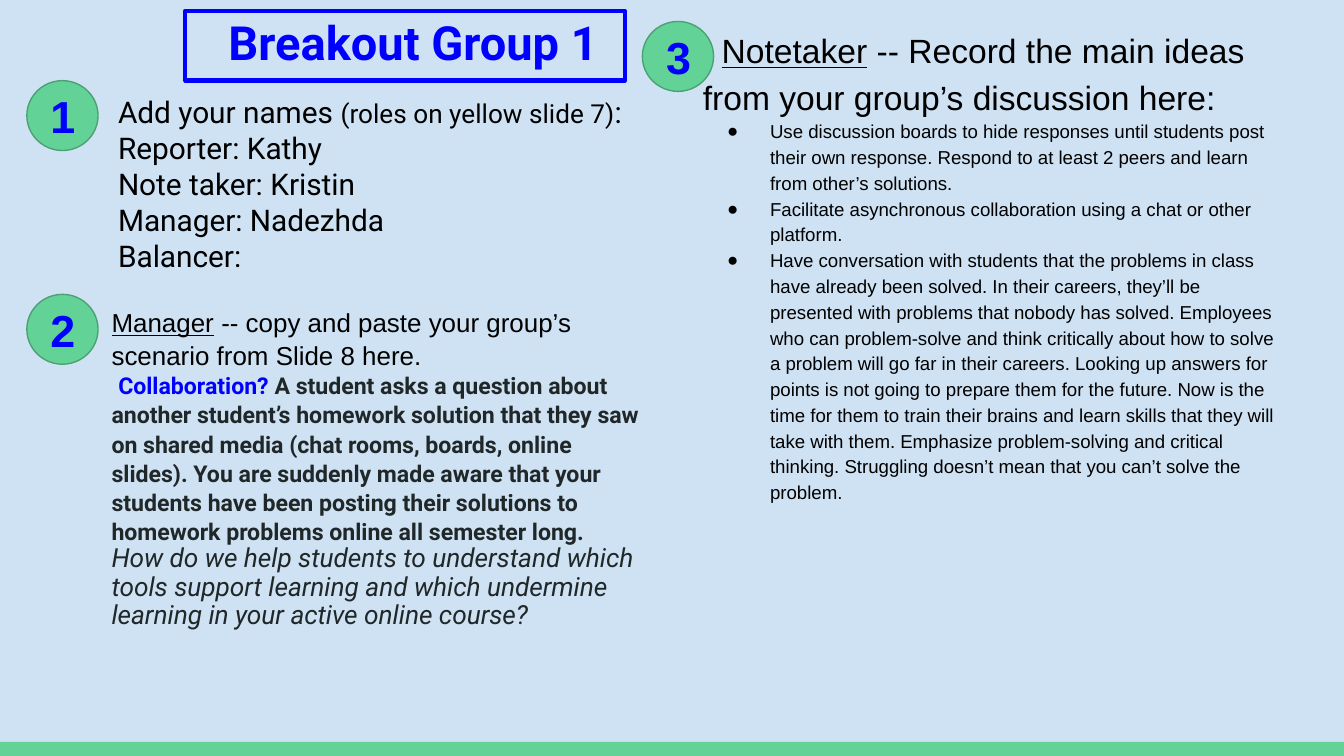
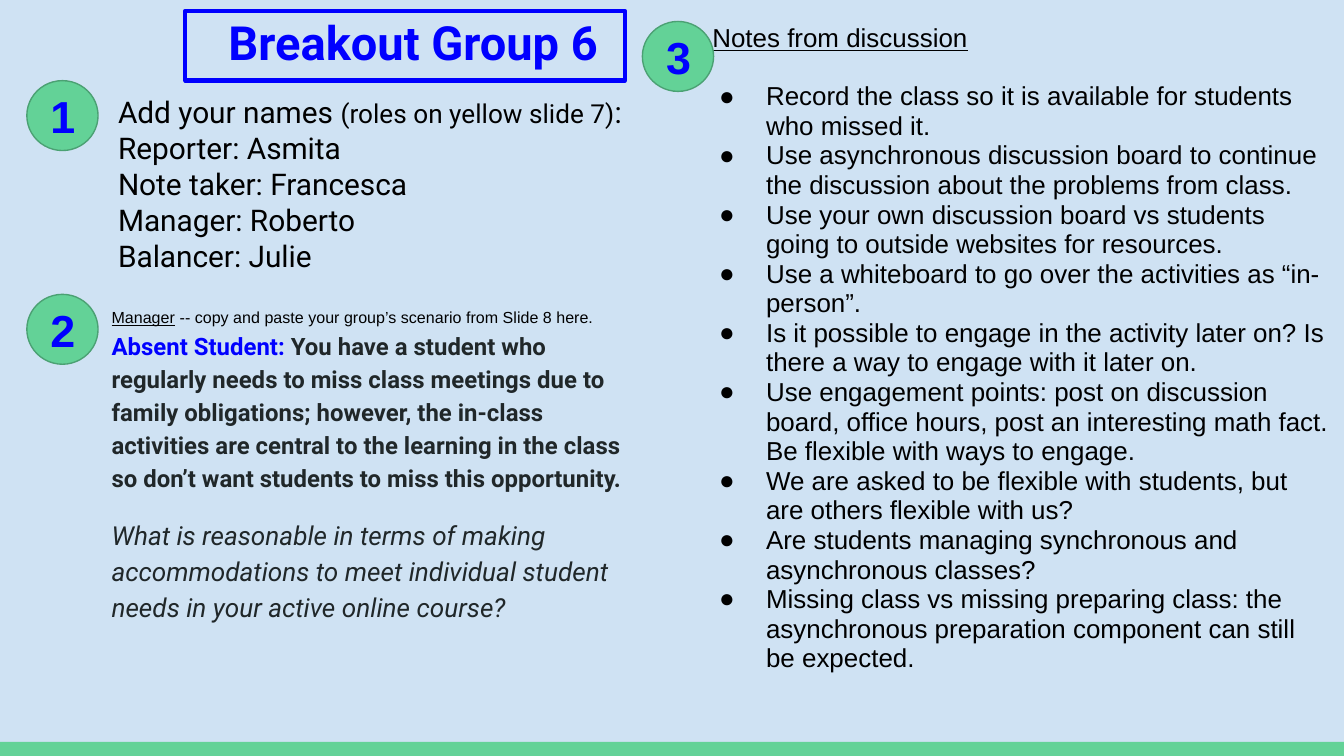
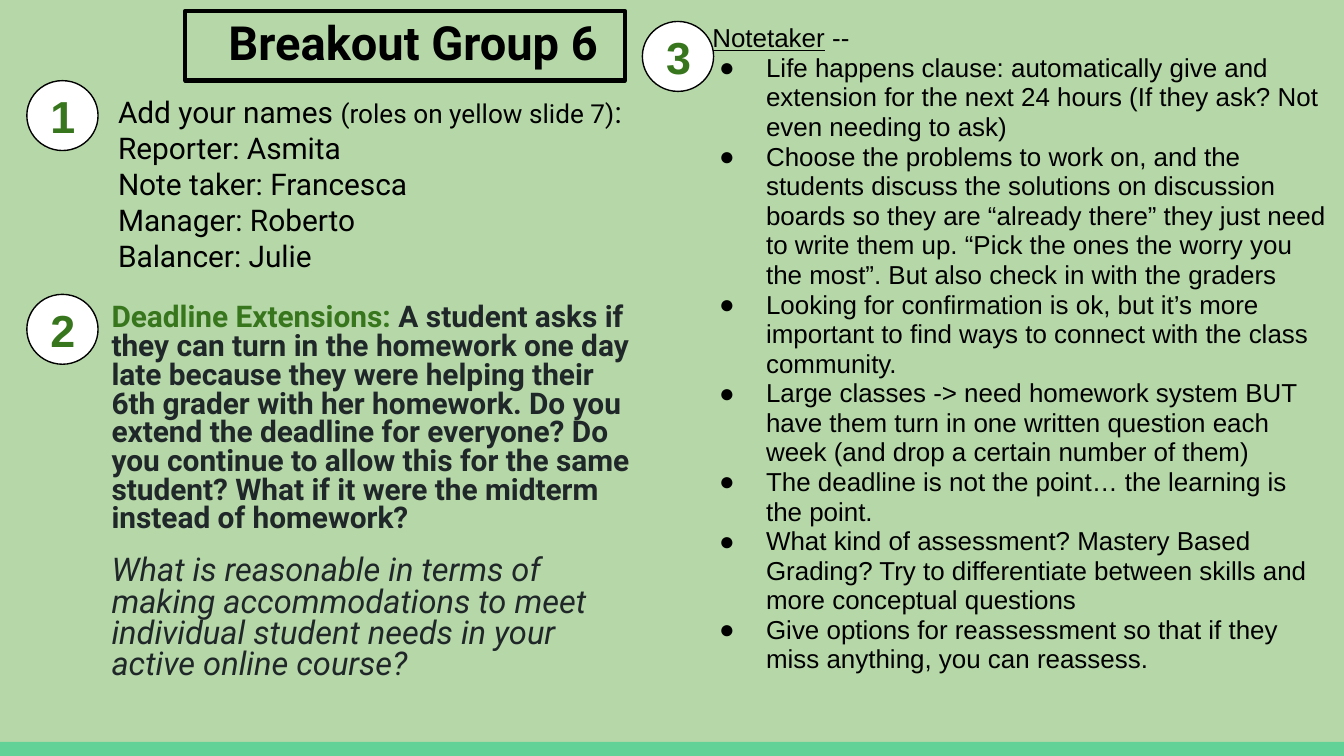
from dataclasses import dataclass

from lxml.etree import SubElement
from pptx import Presentation
from pptx.dml.color import RGBColor
from pptx.enum.shapes import MSO_SHAPE
from pptx.enum.text import MSO_ANCHOR, MSO_AUTO_SIZE, PP_ALIGN
from pptx.oxml.ns import qn
from pptx.util import Inches, Pt

BLACK = RGBColor(0x00, 0x00, 0x00)
WHITE = RGBColor(0xFF, 0xFF, 0xFF)
BLUE = RGBColor(0x00, 0x00, 0xFF)
PALE_BLUE = RGBColor(0xCF, 0xE2, 0xF3)
MINT = RGBColor(0x63, 0xD2, 0x97)
MINT_EDGE = RGBColor(0x4B, 0xA1, 0x73)
PALE_GREEN = RGBColor(0xB6, 0xD7, 0xA8)
DARK_GREEN = RGBColor(0x38, 0x76, 0x1D)
INK = RGBColor(0x20, 0x27, 0x29)

CELL = Inches(0.1)
COLUMNS, ROWS = 100, 56.25
BAND = (0, 55.2, COLUMNS, 1.05)
TITLE = (16, 0, 32.7, 5.2)
TITLE_FRAME = (13.8, 0.8, 32.7, 5.2)
NAMES = (7.8, 6, 39.5, 15.5)
SCENARIO = (7.3, 21.7, 41.6, 32.7)
BADGES = {"1": (2, 6), "2": (2, 21.9), "3": (47.8, 1.6)}
BADGE_SIZE = (5.3, 5.2)

ROLES = ("Reporter", "Note taker", "Manager", "Balancer")
COPY_PROMPT = " -- copy and paste your group’s scenario from Slide 8 here."
ACCOMMODATION_QUESTION = (
    "What is reasonable in terms of making accommodations to meet "
    "individual student needs in your active online course?"
)


@dataclass
class Palette:
    background: RGBColor
    title: RGBColor
    accent: RGBColor
    badge_fill: RGBColor
    badge_line: RGBColor


BLUE_PALETTE = Palette(PALE_BLUE, BLUE, BLUE, MINT, MINT_EDGE)
GREEN_PALETTE = Palette(PALE_GREEN, BLACK, DARK_GREEN, WHITE, BLACK)


def write_text(paragraph, text, font="Arial", size=14, color=BLACK,
               bold=False, italic=False, underline=False):
    run = paragraph.add_run()
    run.text = text
    run.font.name = font
    run.font.size = Pt(size)
    run.font.color.rgb = color
    run.font.bold = bold
    run.font.italic = italic
    run.font.underline = underline


class Deck:
    def __init__(self):
        self.presentation = Presentation()
        self.presentation.slide_width = CELL * COLUMNS
        self.presentation.slide_height = int(CELL * ROWS)
        self.layout = self.presentation.slide_layouts[3]
        self.slide = None
        self.palette = None

    def start_slide(self, palette):
        first = self.slide is None
        self.slide = self.presentation.slides.add_slide(self.layout)
        self.palette = palette
        self.slide.background.fill.solid()
        self.slide.background.fill.fore_color.rgb = palette.background
        if first:
            band = self.shape(MSO_SHAPE.RECTANGLE, BAND, fill=MINT)
            self.layout.shapes.element.append(band.element)

    def place(self, shape, area):
        shape.left, shape.top, shape.width, shape.height = (
            int(CELL * cells) for cells in area)

    def text_frame(self, shape, anchor=MSO_ANCHOR.TOP, fit=MSO_AUTO_SIZE.NONE):
        frame = shape.text_frame
        frame.word_wrap = True
        frame.auto_size = fit
        frame.vertical_anchor = anchor
        frame.margin_left = frame.margin_right = CELL
        frame.margin_top = frame.margin_bottom = CELL
        return frame

    def paragraph(self, frame, runs, spacing=1.0, before=0, margin=0,
                  indent=0, bullet=None, align=PP_ALIGN.LEFT):
        paragraph = frame.paragraphs[0]
        if paragraph.runs:
            paragraph = frame.add_paragraph()
        properties = paragraph._p.get_or_add_pPr()
        properties.set("marL", str(Inches(margin)))
        properties.set("indent", str(Inches(indent)))
        if bullet:
            color = SubElement(properties, qn("a:buClr"))
            SubElement(color, qn("a:srgbClr"), val=str(BLACK))
            SubElement(properties, qn("a:buFont"), typeface="Arial")
            SubElement(properties, qn("a:buChar"), char=bullet)
        else:
            SubElement(properties, qn("a:buNone"))
        paragraph.alignment = align
        paragraph.line_spacing = spacing
        paragraph.space_before = Pt(before)
        paragraph.space_after = Pt(0)
        for text, style in runs:
            write_text(paragraph, text, **style)

    def shape(self, kind, area, fill=None, line=None, weight=0.75):
        shape = self.slide.shapes.add_shape(kind, 0, 0, 0, 0)
        self.place(shape, area)
        shape.shadow.inherit = False
        if fill is None:
            shape.fill.background()
        else:
            shape.fill.solid()
            shape.fill.fore_color.rgb = fill
        if line is None:
            shape.line.fill.background()
        else:
            shape.line.color.rgb = line
            shape.line.width = Pt(weight)
        return shape

    def title(self, text):
        color = self.palette.title
        self.shape(MSO_SHAPE.RECTANGLE, TITLE_FRAME, line=color, weight=2.25)
        title = self.slide.shapes.title
        self.place(title, TITLE)
        style = dict(font="Roboto", size=25.2, color=color, bold=True)
        self.paragraph(self.text_frame(title), [(text, style)])

    def body(self, index, area):
        placeholder = self.slide.placeholders[index]
        self.place(placeholder, area)
        return self.text_frame(placeholder)

    def names(self, people):
        box = self.slide.shapes.add_textbox(0, 0, 0, 0)
        self.place(box, NAMES)
        frame = self.text_frame(box, fit=MSO_AUTO_SIZE.SHAPE_TO_FIT_TEXT)
        large = dict(font="Roboto", size=16)
        small = dict(font="Roboto", size=14)
        self.paragraph(frame, [("Add your names ", large),
                               ("(roles on yellow slide 7)", small),
                               (":", large)])
        for role, person in zip(ROLES, people):
            self.paragraph(frame, [(f"{role}: {person}".rstrip(), large)])

    def badges(self):
        style = dict(size=24, color=self.palette.accent, bold=True)
        for number, corner in BADGES.items():
            badge = self.shape(MSO_SHAPE.OVAL, corner + BADGE_SIZE,
                               self.palette.badge_fill, self.palette.badge_line)
            frame = self.text_frame(badge, MSO_ANCHOR.MIDDLE)
            self.paragraph(frame, [(number, style)], align=PP_ALIGN.CENTER)

    def scenario(self, topic, story, question, size, question_size, spacing,
                 question_spacing, before=0, indent=0, prompt_size=None):
        frame = self.body(1, SCENARIO)
        if prompt_size:
            self.paragraph(frame, [
                ("Manager", dict(size=prompt_size, underline=True)),
                (COPY_PROMPT, dict(size=prompt_size))], spacing)
        strong = dict(font="Roboto", size=size, bold=True)
        self.paragraph(frame, [
            (topic + " ", dict(strong, color=self.palette.accent)),
            (story, dict(strong, color=INK))], spacing, indent=indent)
        asking = dict(font="Roboto", size=question_size, color=INK, italic=True)
        self.paragraph(frame, [(question, asking)], question_spacing, before)

    def notes(self, area, heading, rest, points, size=13.9, point_size=13.9,
              spacing=0.95, indent=0.1, hanging=0.35, gap=0):
        frame = self.body(2, area)
        runs = [(heading, dict(size=size, underline=True))]
        if rest:
            runs.append((rest, dict(size=size)))
        self.paragraph(frame, runs, spacing, indent=indent)
        for position, point in enumerate(points):
            self.paragraph(frame, [(point, dict(size=point_size))], spacing,
                           before=0 if position else gap, margin=0.5,
                           indent=-hanging, bullet="●")


def group_slide(deck, palette, title, people, scenario, notes):
    deck.start_slide(palette)
    deck.title(title)
    deck.scenario(**scenario)
    deck.notes(**notes)
    deck.names(people)
    deck.badges()


def main():
    deck = Deck()
    group_slide(
        deck, BLUE_PALETTE, "Breakout Group 1",
        ("Kathy", "Kristin", "Nadezhda", ""),
        scenario=dict(
            topic="Collaboration?",
            story="A student asks a question about another student’s homework "
                  "solution that they saw on shared media (chat rooms, boards, "
                  "online slides). You are suddenly made aware that your "
                  "students have been posting their solutions to homework "
                  "problems online all semester long.",
            question="How do we help students to understand which tools support "
                     "learning and which undermine learning in your active "
                     "online course?",
            size=12.4, question_size=14.1, spacing=1.05, question_spacing=0.9,
            indent=0.05, prompt_size=13.9),
        notes=dict(
            area=(51.3, 0.8, 44.7, 48.4), heading="Notetaker",
            rest=" -- Record the main ideas from your group’s discussion here:",
            points=(
                "Use discussion boards to hide responses until students post "
                "their own response. Respond to at least 2 peers and learn from "
                "other’s solutions.",
                "Facilitate asynchronous collaboration using a chat or other "
                "platform.",
                "Have conversation with students that the problems in class "
                "have already been solved. In their careers, they’ll be "
                "presented with problems that nobody has solved. Employees who "
                "can problem-solve and think critically about how to solve a "
                "problem will go far in their careers. Looking up answers for "
                "points is not going to prepare them for the future. Now is the "
                "time for them to train their brains and learn skills that they "
                "will take with them. Emphasize problem-solving and critical "
                "thinking. Struggling doesn’t mean that you can’t solve the "
                "problem."),
            size=18, point_size=10, spacing=1.15, indent=0.14, hanging=0.32))

    second_group = ("Asmita", "Francesca", "Roberto", "Julie")
    group_slide(
        deck, BLUE_PALETTE, "Breakout Group 6", second_group,
        scenario=dict(
            topic="Absent Student:",
            story="You have a student who regularly needs to miss class "
                  "meetings due to family obligations; however, the in-class "
                  "activities are central to the learning in the class so don’t "
                  "want students to miss this opportunity.",
            question=ACCOMMODATION_QUESTION, size=12.8, question_size=14,
            spacing=1.15, question_spacing=1.15, before=12, prompt_size=8.6),
        notes=dict(
            area=(51, 0.8, 49, 54.3), heading="Notes from discussion", rest="",
            points=(
                "Record the class so it is available for students who missed it.",
                "Use asynchronous discussion board to continue the discussion "
                "about the problems from class.",
                "Use your own discussion board vs students going to outside "
                "websites for resources.",
                "Use a whiteboard to go over the activities as “in-person”.",
                "Is it possible to engage in the activity later on? Is there a "
                "way to engage with it later on.",
                "Use engagement points: post on discussion board, office hours, "
                "post an interesting math fact. Be flexible with ways to engage.",
                "We are asked to be flexible with students, but are others "
                "flexible with us?",
                "Are students managing synchronous and asynchronous classes?",
                "Missing class vs missing preparing class: the asynchronous "
                "preparation component can still be expected."),
            gap=15.2))

    group_slide(
        deck, GREEN_PALETTE, "Breakout Group 6", second_group,
        scenario=dict(
            topic="Deadline Extensions:",
            story="A student asks if they can turn in the homework one day late "
                  "because they were helping their 6th grader with her "
                  "homework. Do you extend the deadline for everyone? Do you "
                  "continue to allow this for the same student? What if it were "
                  "the midterm instead of homework?",
            question=ACCOMMODATION_QUESTION, size=16, question_size=17.5,
            spacing=0.8, question_spacing=0.8, before=12),
        notes=dict(
            area=(51, 0.8, 49, 55.4), heading="Notetaker", rest=" --",
            points=(
                "Life happens clause: automatically give and extension for the "
                "next 24 hours (If they ask? Not even needing to ask)",
                "Choose the problems to work on, and the students discuss the "
                "solutions on discussion boards so they are “already there” "
                "they just need to write them up. “Pick the ones the worry you "
                "the most”. But also check in with the graders",
                "Looking for confirmation is ok, but it’s more important to "
                "find ways to connect with the class community.",
                "Large classes -> need homework system BUT have them turn in "
                "one written question each week (and drop a certain number of "
                "them)",
                "The deadline is not the point… the learning is the point.",
                "What kind of assessment? Mastery Based Grading? Try to "
                "differentiate between skills and more conceptual questions",
                "Give options for reassessment so that if they miss anything, "
                "you can reassess.")))

    deck.presentation.save("out.pptx")


if __name__ == "__main__":
    main()
